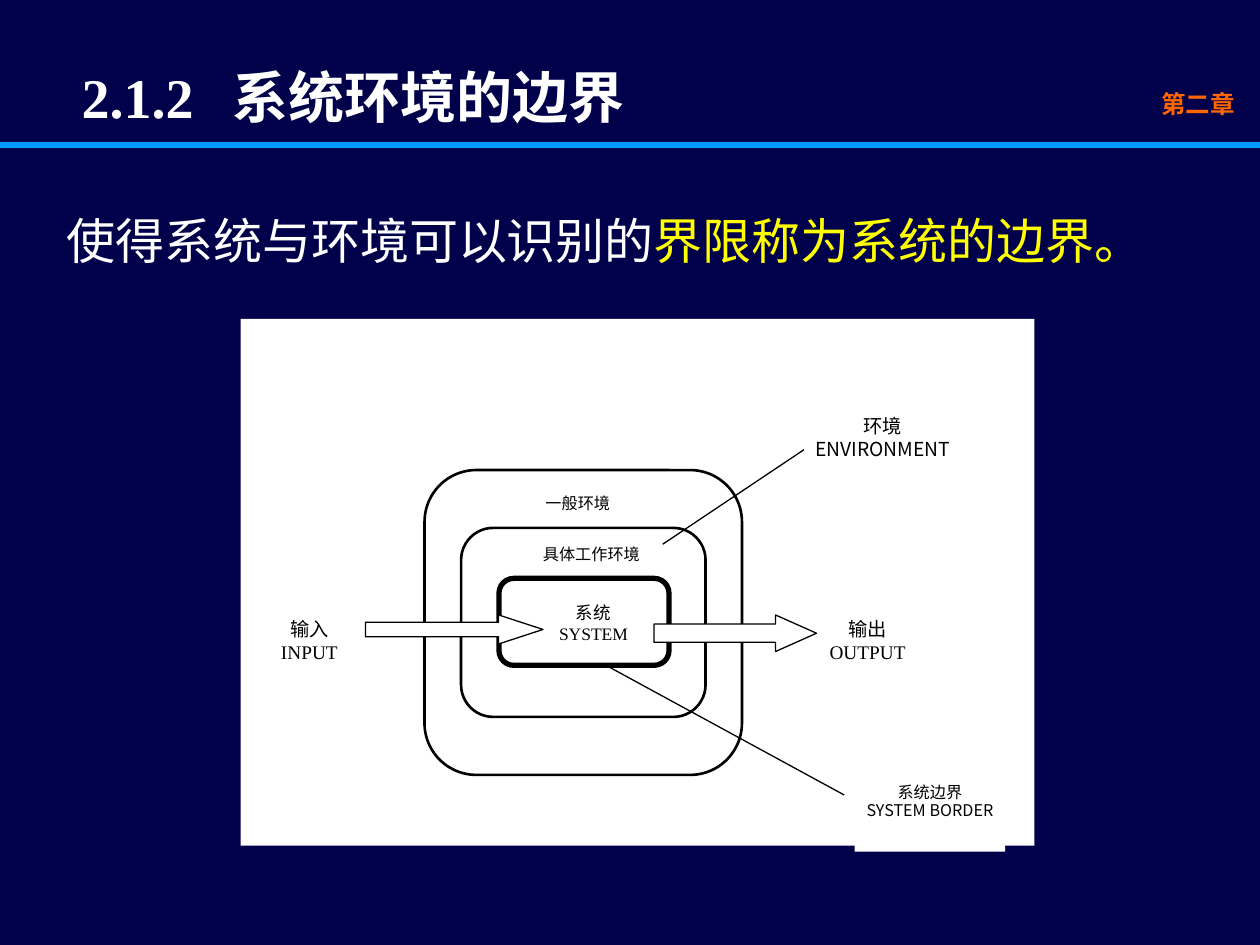
from lxml.etree import SubElement
from pptx import Presentation
from pptx.dml.color import RGBColor as RGB
from pptx.enum.shapes import MSO_CONNECTOR as Conn, MSO_SHAPE as Kind
from pptx.enum.text import PP_ALIGN as Align
from pptx.oxml.ns import qn
from pptx.util import Pt


class Theme:
    back, rule, mark = "00004B", "0099FF", "FF6600"
    light, key, ink = "FFFFFF", "FFFF00", "000000"
    sans, serif, cjk = "Arial", "Times New Roman", "Noto Sans CJK SC"
    title, body, chapter = 32, 28, 14
    large, mid, small = 11, 10, 9.2


TITLE = ("2.1.2\t", "系统环境的边界")
BODY = (("使得系统与环境可以识别的", Theme.light),
        ("界限称为系统的边界。", Theme.key))
CHAPTER = "第二章"
PANEL = (137.5, 182.2, 453.6, 301)

# box, line width, fill
RINGS = [
    ((242.6, 268.6, 181.4, 174.2), 1.5, None),
    ((263.5, 301.7, 139.7, 108), 1.5, None),
    ((285.1, 330.5, 97.2, 49.7), 3, Theme.light),
]
# box, head length as a share of the height
ARROWS = [((208.8, 351.4, 101.5, 16.6), 1.53),
          ((373.7, 351.4, 92.9, 20.9), 1.12)]
# start, end
LEADERS = [((346.3, 380.2), (482.4, 454.3)),
           ((378.7, 311), (459.4, 257))]
# lines, box, font, size, align, line spacing, fill
LABELS = [
    (["一般环境"], (306.7, 280.1, 63.4, 16.6),
     Theme.cjk, Theme.small, Align.LEFT, 0.9, None),
    (["具体工作环境"], (305.3, 309.6, 72, 16.6),
     Theme.cjk, Theme.small, Align.LEFT, 0.9, None),
    (["系统", "SYSTEM"], (313.2, 341.3, 51.8, 33.8),
     Theme.serif, Theme.mid, Align.CENTER, 1, None),
    (["输入", "INPUT"], (153.4, 349.9, 46.8, 38.2),
     Theme.serif, Theme.large, Align.CENTER, 1, None),
    (["输出", "OUTPUT"], (466.6, 349.9, 58.3, 38.2),
     Theme.serif, Theme.large, Align.CENTER, 1, None),
    (["系统边界", "SYSTEM BORDER"], (488.4, 445.7, 86, 41),
     Theme.cjk, Theme.small, Align.CENTER, 0.9, Theme.light),
    (["环境", "ENVIRONMENT"], (459.4, 234, 90, 38.2),
     Theme.cjk, Theme.large, Align.CENTER, 1, None),
]


def style(font, name, size, color, bold=False):
    font.name, font.size, font.bold = name, Pt(size), bold
    font.color.rgb = RGB.from_string(color)


def paint(shape, fill):
    if fill:
        shape.fill.solid()
        shape.fill.fore_color.rgb = RGB.from_string(fill)
    else:
        shape.fill.background()


def add_text(slide, box, pad=(7.2, 3.6)):
    """Add a wrapping text box; pad is the side and the top inset."""
    shape = slide.shapes.add_textbox(*map(Pt, box))
    frame = shape.text_frame
    frame.word_wrap = True
    frame.margin_left = frame.margin_right = Pt(pad[0])
    frame.margin_top = frame.margin_bottom = Pt(pad[1])
    return shape, frame.paragraphs[0]


def add_shape(slide, kind, box, fill, width=0, adjust=()):
    shape = slide.shapes.add_shape(kind, *map(Pt, box))
    shape.shadow.inherit = False
    paint(shape, fill)
    if width:
        shape.line.color.rgb = RGB.from_string(Theme.ink)
        shape.line.width = Pt(width)
    else:
        shape.line.fill.background()
    for i, value in enumerate(adjust):
        shape.adjustments[i] = value


def add_line(slide, start, end, color, width):
    line = slide.shapes.add_connector(Conn.STRAIGHT, *map(Pt, start + end))
    line.line.color.rgb = RGB.from_string(color)
    line.line.width = Pt(width)
    SubElement(line._element.spPr, qn("a:effectLst"))


def add_heads(slide):
    add_line(slide, (0, 82.8), (720, 82.8), Theme.rule, 3)

    _, para = add_text(slide, (643.7, 47.5, 69.1, 24.5))
    para.text, para.alignment = CHAPTER, Align.RIGHT
    style(para.font, Theme.sans, Theme.chapter, Theme.mark, True)

    _, para = add_text(slide, (39.6, 32.4, 560, 50))
    tabs = SubElement(para._p.get_or_add_pPr(), qn("a:tabLst"))
    SubElement(tabs, qn("a:tab"), pos=str(Pt(86)), algn="l")
    for text, name in zip(TITLE, (Theme.serif, Theme.cjk)):
        run = para.add_run()
        run.text = text
        style(run.font, name, Theme.title, Theme.light, True)

    _, para = add_text(slide, (31, 116.6, 648, 50))
    for text, color in BODY:
        run = para.add_run()
        run.text = text
        style(run.font, Theme.sans, Theme.body, color)


def add_figure(slide):
    add_shape(slide, Kind.RECTANGLE, PANEL, Theme.light)
    for box, width, fill in RINGS:
        add_shape(slide, Kind.ROUNDED_RECTANGLE, box, fill, width, [0.17])
    for box, head in ARROWS:
        add_shape(slide, Kind.RIGHT_ARROW, box, Theme.light, 0.75, [0.5, head])
    for lines, box, name, size, align, gap, fill in LABELS:
        shape, para = add_text(slide, box, (5, 2.9))
        paint(shape, fill)
        for i, text in enumerate(lines):
            if i:
                para = shape.text_frame.add_paragraph()
            para.text, para.alignment, para.line_spacing = text, align, gap
            style(para.font, name, size, Theme.ink)
    for start, end in LEADERS:
        add_line(slide, start, end, Theme.ink, 0.75)


def main():
    deck = Presentation()
    deck.slide_width, deck.slide_height = Pt(720), Pt(540)
    slide = deck.slides.add_slide(deck.slide_layouts[6])
    slide.background.fill.solid()
    slide.background.fill.fore_color.rgb = RGB.from_string(Theme.back)
    add_heads(slide)
    add_figure(slide)
    deck.save("out.pptx")


if __name__ == "__main__":
    main()
